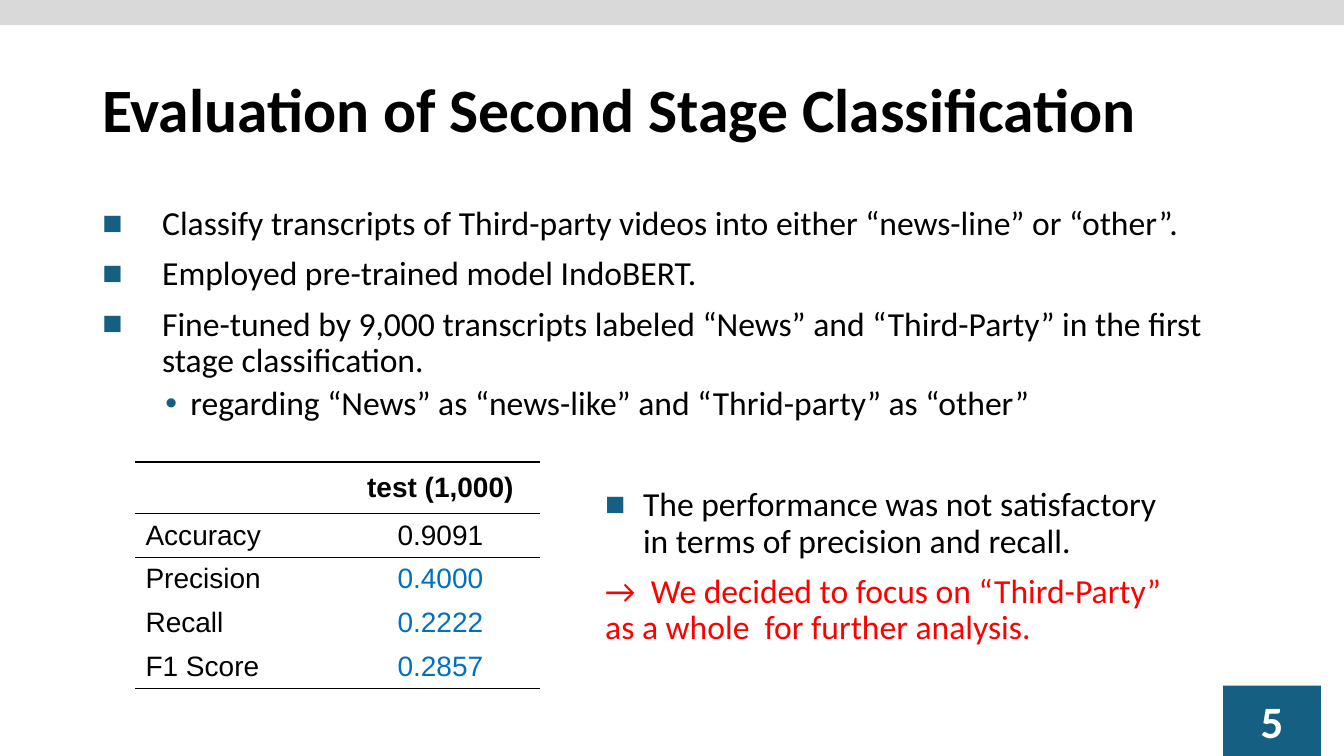
from typing import NamedTuple, Optional

from lxml.etree import SubElement
from pptx import Presentation
from pptx.dml.color import RGBColor
from pptx.enum.shapes import MSO_SHAPE as Shape
from pptx.enum.text import MSO_ANCHOR as Anchor, PP_ALIGN as Align
from pptx.oxml import parse_xml
from pptx.oxml.ns import nsdecls, qn
from pptx.util import Pt

BLACK = RGBColor(0x00, 0x00, 0x00)
WHITE = RGBColor(0xFF, 0xFF, 0xFF)
GREY = RGBColor(0xD9, 0xD9, 0xD9)
TEAL = RGBColor(0x15, 0x60, 0x82)
BLUE = RGBColor(0x00, 0x70, 0xC0)
RED = RGBColor(0xFF, 0x00, 0x00)
PLAIN = "{2D5ABB26-0587-4C30-8999-92F81FD0307C}"
SCALE = 9525


class Box(NamedTuple):
    left: int
    top: int
    width: int
    height: int


class Para(NamedTuple):
    text: str
    size: int = 24
    color: RGBColor = BLACK
    bold: bool = False
    mark: str = ""
    left: int = 0
    hang: int = 0
    gap: int = 10


class Score(NamedTuple):
    label: str
    value: str
    color: RGBColor = BLUE


TITLE = Para("Evaluation of Second Stage Classification", 44, bold=True)
POINTS = [
    Para("Classify transcripts of Third-party videos into either “news-line” or “other”.",
         mark="■", left=57, hang=57),
    Para("Employed pre-trained model IndoBERT.", mark="■", left=57, hang=57),
    Para("Fine-tuned by 9,000 transcripts labeled “News” and “Third-Party” in the first "
         "stage classification.", mark="■", left=57, hang=57),
    Para("regarding “News” as “news-like” and “Thrid-party” as “other”",
         mark="•", left=84, hang=24, gap=5),
]
RESULT = [
    Para("The performance was not satisfactory in terms of precision and recall.",
         mark="■", left=36, hang=36),
    Para("→  We decided to focus on “Third-Party” as a whole  for further analysis.", color=RED),
]
SCORES = [
    Score("Accuracy", "0.9091", BLACK),
    Score("Precision", "0.4000"),
    Score("Recall", "0.2222"),
    Score("F1 Score", "0.2857"),
]


def emu(box: Box) -> list[int]:
    return [side * SCALE for side in box]


def style(para, size: int, color: RGBColor, bold: bool, face: str) -> None:
    for run in para.runs:
        run.font.size = Pt(size)
        run.font.name = face
        run.font.bold = bold
        run.font.color.rgb = color


def bullet(para, item: Para) -> None:
    props = para._p.get_or_add_pPr()
    props.set("marL", str(item.left * SCALE))
    props.set("indent", str(-item.hang * SCALE))
    if item.mark:
        tint = SubElement(props, qn("a:buClr"))
        SubElement(tint, qn("a:srgbClr"), val=str(TEAL))
        SubElement(props, qn("a:buFont"), typeface="Arial")
        SubElement(props, qn("a:buChar"), char=item.mark)


def add_text(slide, box: Box, items: list[Para], anchor=Anchor.TOP) -> None:
    frame = slide.shapes.add_textbox(*emu(box)).text_frame
    frame.word_wrap = True
    frame.vertical_anchor = anchor
    for spot, item in enumerate(items):
        para = frame.add_paragraph() if spot else frame.paragraphs[0]
        para.text = item.text
        bullet(para, item)
        para.line_spacing = 0.9
        para.space_before = Pt(item.gap if spot else 0)
        style(para, item.size, item.color, item.bold, "Calibri")


def add_block(slide, box: Box, color: RGBColor, text: str = "") -> None:
    block = slide.shapes.add_shape(Shape.RECTANGLE, *emu(box))
    block.shadow.inherit = False
    block.fill.solid()
    block.fill.fore_color.rgb = color
    block.line.fill.background()
    if text:
        frame = block.text_frame
        frame.text = text
        frame.vertical_anchor = Anchor.MIDDLE
        para = frame.paragraphs[0]
        para.alignment = Align.CENTER
        style(para, 32, WHITE, True, "Calibri")


def rule(cell, sides: str) -> None:
    props = cell._tc.get_or_add_tcPr()
    for spot, side in enumerate(sides):
        props.insert(spot, parse_xml(
            f'<a:ln{side} {nsdecls("a")} w="{Pt(1)}"><a:solidFill>'
            f'<a:srgbClr val="{BLACK}"/></a:solidFill></a:ln{side}>'))


def fill_cell(cell, text: str, color: RGBColor, bold: bool, align: Optional[Align]) -> None:
    cell.vertical_anchor = Anchor.MIDDLE
    if bold:
        cell.fill.background()
    else:
        cell.fill.solid()
        cell.fill.fore_color.rgb = WHITE
    if text:
        cell.text_frame.text = text
        para = cell.text_frame.paragraphs[0]
        para.alignment = align
        style(para, 20, color, bold, "Arial")


def add_scores(slide, box: Box) -> None:
    rows = [Score("", "test (1,000)", BLACK), *SCORES]
    table = slide.shapes.add_table(len(rows), 2, *emu(box)).table
    table.first_row = table.horz_banding = False
    table._tbl.tblPr.find(qn("a:tableStyleId")).text = PLAIN
    for col, width in zip(table.columns, (196, 189)):
        col.width = width * SCALE
    for spot, score in enumerate(rows):
        head = spot == 0
        table.rows[spot].height = (49 if head else 41) * SCALE
        label, value = table.cell(spot, 0), table.cell(spot, 1)
        fill_cell(label, score.label, BLACK, head, Align.LEFT)
        fill_cell(value, score.value, score.color, head, Align.CENTER)
        sides = "TB" if head else "T" if spot == 1 else "B" if score is rows[-1] else ""
        for cell in (label, value):
            rule(cell, sides)


def main() -> None:
    deck = Presentation()
    deck.slide_width, deck.slide_height = 1280 * SCALE, 720 * SCALE
    slide = deck.slides.add_slide(deck.slide_layouts[6])
    add_block(slide, Box(0, -2, 1280, 26), GREY)
    add_text(slide, Box(88, 38, 1104, 139), [TITLE], Anchor.MIDDLE)
    add_text(slide, Box(88, 192, 1104, 457), POINTS)
    add_block(slide, Box(1165, 653, 93, 67), TEAL, "5")
    add_scores(slide, Box(129, 440, 385, 213))
    add_text(slide, Box(567, 460, 571, 170), RESULT)
    deck.save("out.pptx")


if __name__ == "__main__":
    main()
